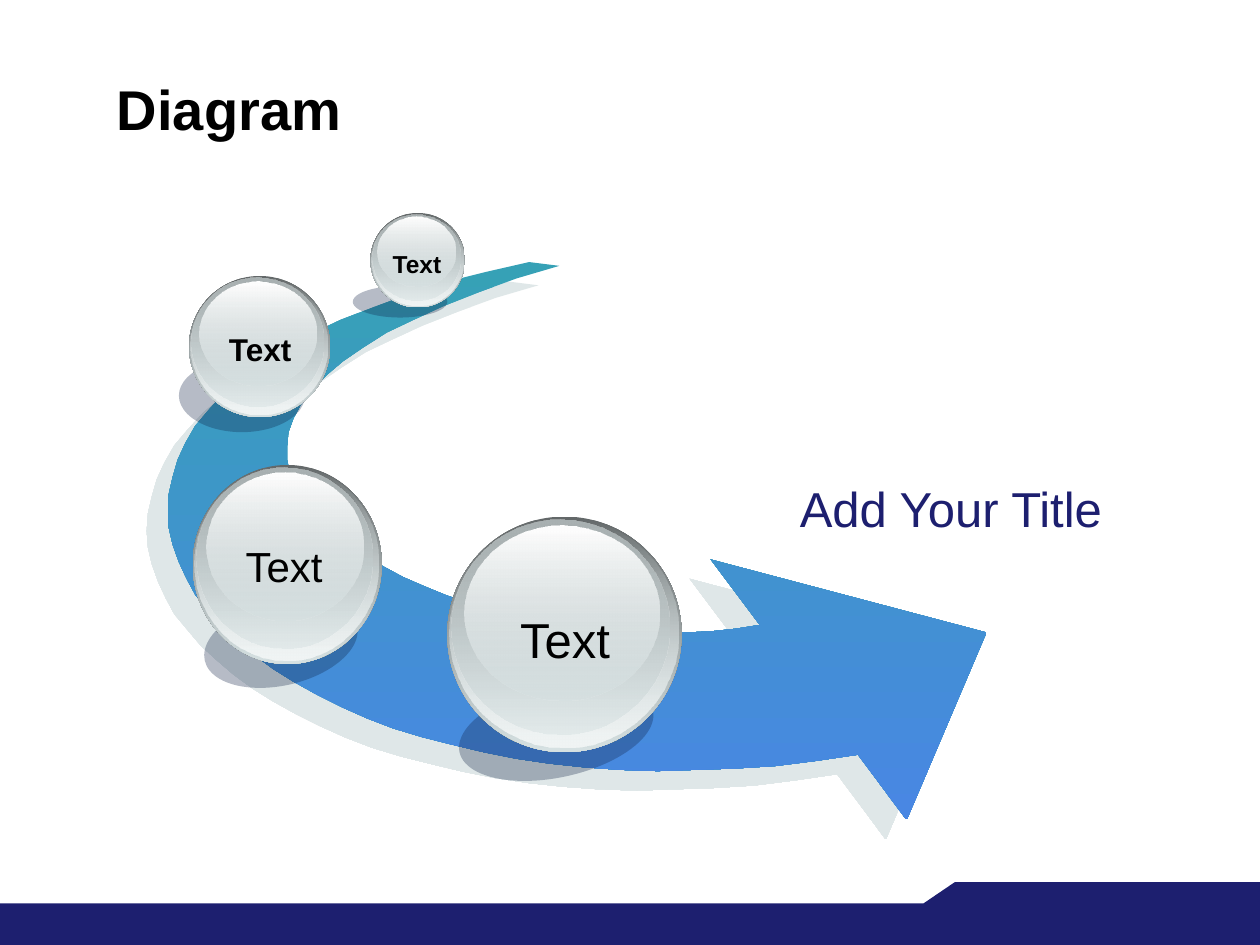
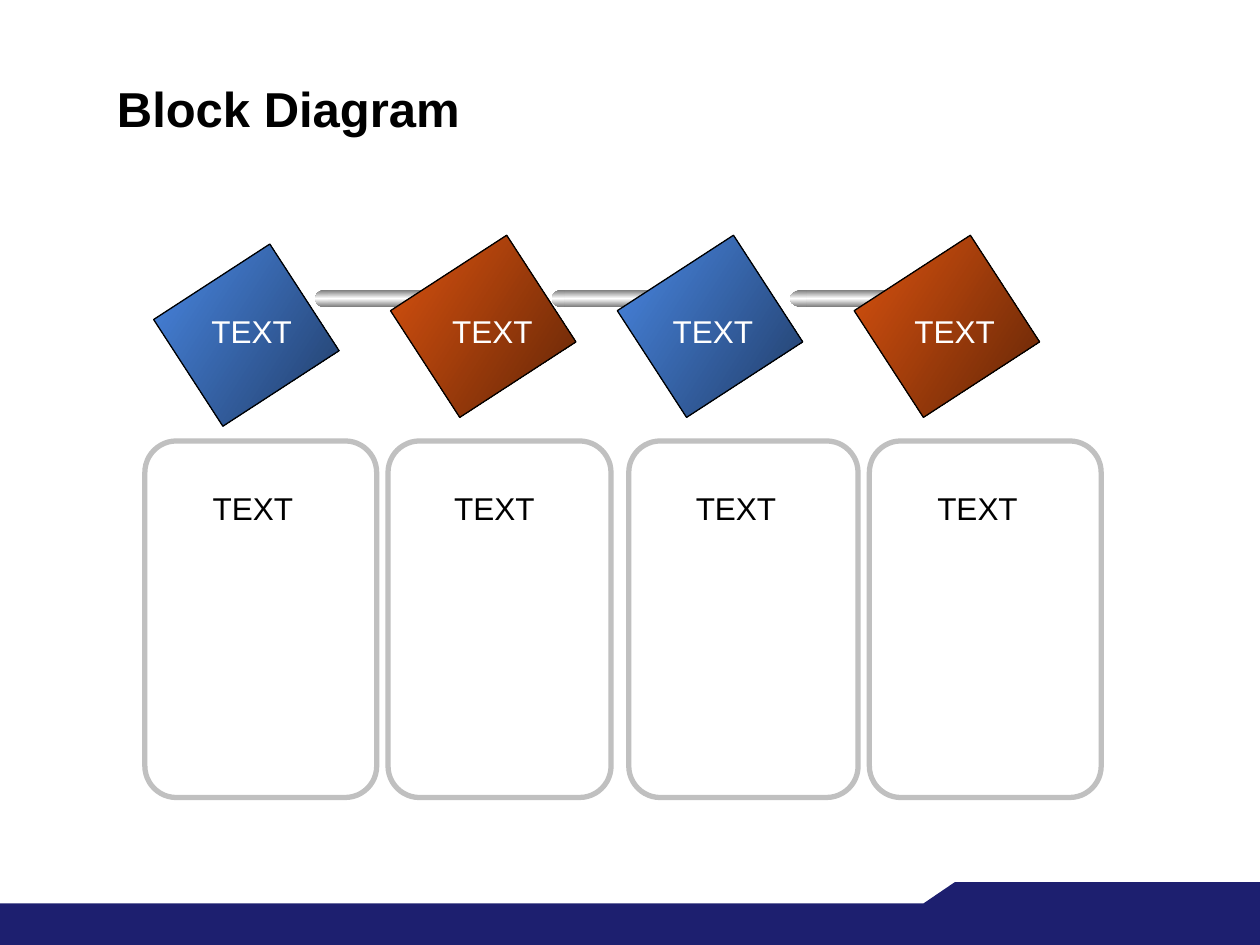
from lxml import etree
from pptx import Presentation
from pptx import util as u
from pptx.dml.color import RGBColor
from pptx.enum import shapes, text
from pptx.oxml.ns import qn

# Shared style
FONT = "Arial"
NAVY, BLACK, WHITE = "1D1F6F", "000000", "FFFFFF"
SILVER, BALL_SHADOW, ARROW_SHADOW = "C0C0C0", "0F2145", "C1D1D3"
ARROW_FILL = [(0, "36A1B6", 100), (100, "4987E3", 100)]
BLUE = [(0, "4987E3", 100), (100, "223E69", 100)]
ORANGE = [(0, "D9520F", 100), (100, "642607", 100)]
METAL = [(0, "767676", 100), (50, "FFFFFF", 100), (100, "767676", 100)]

RECT = shapes.MSO_SHAPE.RECTANGLE
ROUNDED = shapes.MSO_SHAPE.ROUNDED_RECTANGLE
OVAL = shapes.MSO_SHAPE.OVAL

# Glass ball layers: left, top, width, height as shares of the ball, then stops
BALL_LAYERS = [
    ((0, 0, 1, 1), [(0, "636869", 100), (100, "D6E1E2", 100)]),
    ((0.01, 0.005, 0.975, 0.975), [(0, "D6E1E2", 0), (100, "F1F5F5", 100)]),
    ((0.02, 0.013, 0.93, 0.91), [(0, "AAB2B3", 100), (100, "D6E1E2", 48)]),
    ((0.075, 0.04, 0.83, 0.74), [(0, "FFFFFF", 100), (100, "D6E1E2", 38)]),
]

# Curved arrow: outer edge from the tail, head, inner edge back to the tail
OUTER_EDGE = [
    (4.2, 2.08), (3.85, 2.16), (3.53, 2.24), (3.23, 2.34), (2.96, 2.44), (2.7, 2.54),
    (2.47, 2.65), (2.27, 2.76), (2.08, 2.88), (1.92, 3), (1.78, 3.12), (1.66, 3.25),
    (1.55, 3.38), (1.47, 3.52), (1.41, 3.65), (1.37, 3.79), (1.34, 3.92), (1.33, 4.06),
    (1.34, 4.19), (1.37, 4.32), (1.42, 4.46), (1.48, 4.59), (1.55, 4.72), (1.65, 4.84),
    (1.76, 4.97), (1.88, 5.08), (2.02, 5.2), (2.17, 5.31), (2.33, 5.41), (2.51, 5.51),
    (2.71, 5.61), (2.91, 5.7), (3.12, 5.78), (3.35, 5.85), (3.59, 5.91), (3.84, 5.97),
    (4.09, 6.02), (4.36, 6.06), (4.64, 6.09), (4.92, 6.11), (5.22, 6.12), (5.52, 6.11),
    (5.83, 6.1), (6.15, 6.08), (6.47, 6.04), (6.81, 5.99),
]
ARROW_HEAD = [(7.19, 6.5), (7.2, 6.5), (7.83, 5.02), (5.64, 4.44)]
INNER_EDGE = [
    (6.03, 4.96), (5.84, 4.99), (5.65, 5.01), (5.45, 5.02), (5.26, 5.02), (5.06, 5.02),
    (4.86, 5), (4.66, 4.98), (4.46, 4.96), (4.27, 4.92), (4.07, 4.88), (3.89, 4.83),
    (3.7, 4.78), (3.53, 4.72), (3.36, 4.65), (3.2, 4.58), (3.05, 4.5), (2.91, 4.42),
    (2.78, 4.34), (2.67, 4.25), (2.56, 4.16), (2.47, 4.06), (2.4, 3.96), (2.34, 3.86),
    (2.3, 3.75), (2.28, 3.65), (2.28, 3.54), (2.29, 3.43), (2.33, 3.32), (2.39, 3.21),
    (2.48, 3.1), (2.59, 2.98), (2.72, 2.87), (2.88, 2.76), (3.07, 2.64), (3.28, 2.54),
    (3.52, 2.43), (3.8, 2.32), (4.1, 2.21), (4.44, 2.11),
]


def color(value):
    return RGBColor.from_string(value)


def add_color(parent, value, opacity):
    """Append a colour element with an opacity in percent."""
    node = etree.SubElement(parent, qn("a:srgbClr"), val=value)
    if opacity < 100:
        etree.SubElement(node, qn("a:alpha"), val=str(opacity * 1000))


def paint(shape, fill=None, opacity=100, angle=90, line=None, weight=1):
    """Fill with a hex colour or a list of gradient stops, and set the outline."""
    shape.shadow.inherit = False
    properties = shape._element.spPr
    if fill is None:
        shape.fill.background()
    elif isinstance(fill, str):
        shape.fill.solid()
        shape.fill.fore_color.rgb = color(fill)
        if opacity < 100:
            tint = properties.find(qn("a:solidFill"))[0]
            etree.SubElement(tint, qn("a:alpha"), val=str(opacity * 1000))
    else:
        shape.fill.gradient()
        gradient = properties.find(qn("a:gradFill"))
        gradient.clear()
        gradient.set("rotWithShape", "0")
        stops = etree.SubElement(gradient, qn("a:gsLst"))
        for position, value, stop_opacity in fill:
            stop = etree.SubElement(stops, qn("a:gs"), pos=str(position * 1000))
            add_color(stop, value, stop_opacity)
        etree.SubElement(gradient, qn("a:lin"), ang=str(angle * 60000), scaled="0")
    if line:
        shape.line.color.rgb = color(line)
        shape.line.width = u.Pt(weight)
    else:
        shape.line.fill.background()


def add_figure(page, kind, left, top, width, height, rotation=0, **style):
    shape = page.shapes.add_shape(
        kind, u.Inches(left), u.Inches(top), u.Inches(width), u.Inches(height))
    shape.rotation = rotation
    paint(shape, **style)
    return shape


def add_outline(page, points, **style):
    start, *rest = [(u.Inches(x), u.Inches(y)) for x, y in points]
    builder = page.shapes.build_freeform(*start)
    builder.add_line_segments(rest, close=True)
    shape = builder.convert_to_shape()
    paint(shape, **style)
    return shape


def add_text(page, words, left, top, width, height, size, ink=BLACK, bold=False,
             wrap=False, centred=False):
    box = page.shapes.add_textbox(
        u.Inches(left), u.Inches(top), u.Inches(width), u.Inches(height))
    frame = box.text_frame
    frame.word_wrap = wrap
    para = frame.paragraphs[0]
    para.text = words
    if centred:
        para.alignment = text.PP_ALIGN.CENTER
    para.font.name = FONT
    para.font.size = u.Pt(size)
    para.font.bold = bold
    para.font.color.rgb = color(ink)
    return box


def add_page(deck, title, size):
    """Start a page with the footer band and its title."""
    page = deck.slides.add_slide(deck.slide_layouts[6])
    add_figure(page, RECT, 0, 7.17, 10, 0.33, fill=NAVY)
    add_outline(page, [(7.33, 7.17), (7.58, 7), (10, 7), (10, 7.25), (7.33, 7.25)],
                fill=NAVY)
    box = add_text(page, title, 0.83, 0.55, 8.58, 0.62, size, bold=True, wrap=True)
    box.text_frame.vertical_anchor = text.MSO_ANCHOR.MIDDLE
    return page


def add_curved_arrow(page):
    arrow = add_outline(page, OUTER_EDGE + ARROW_HEAD + INNER_EDGE, fill=ARROW_FILL)
    effects = arrow._element.spPr.find(qn("a:effectLst"))
    shadow = etree.SubElement(effects, qn("a:outerShdw"), dist=str(u.Pt(16.3)),
                              dir=str(137 * 60000), algn="ctr", rotWithShape="0")
    add_color(shadow, ARROW_SHADOW, 50)


def add_ball(page, ball, shadow, tilt, label, size, bold):
    """Draw a glass ball over its cast shadow, with a label on it."""
    add_figure(page, OVAL, *shadow, rotation=tilt, fill=BALL_SHADOW, opacity=30)
    left, top, width, height = ball
    for (x, y, w, h), stops in BALL_LAYERS:
        add_figure(page, OVAL, left + x * width, top + y * height,
                   w * width, h * height, fill=stops)
    add_text(page, "Text", *label, size, bold=bold, centred=True)


def add_rod(page, left, scale):
    """Draw a metal rod with a rounded left end."""
    add_figure(page, OVAL, left, 2.3, 0.17 * scale, 0.14, fill=METAL)
    add_figure(page, RECT, left + 0.1 * scale, 2.3, 0.85 * scale, 0.14, fill=METAL)


def build_diagram(deck):
    page = add_page(deck, "Diagram", 32)
    add_curved_arrow(page)
    add_text(page, "Add Your Title", 6.25, 3.75, 2.92, 0.57, 28, ink=NAVY, wrap=True)

    # Balls from the front to the far end: ball, shadow, tilt, label, size, bold
    balls = [
        ((3.55, 4.1, 1.86, 1.87), (3.63, 5.44, 1.57, 0.73), 347.9,
         (4.01, 4.79, 0.95, 0.57), 28, False),
        ((1.53, 3.69, 1.5, 1.58), (1.61, 4.77, 1.24, 0.67), 347.1,
         (1.83, 4.24, 0.85, 0.5), 24, False),
        ((1.5, 2.19, 1.12, 1.12), (1.42, 2.85, 1, 0.58), 0,
         (1.71, 2.57, 0.71, 0.4), 18, True),
        ((2.94, 1.69, 0.75, 0.75), (2.8, 2.27, 0.75, 0.25), 0,
         (3.01, 1.93, 0.6, 0.34), 14, True),
    ]
    for ball in balls:
        add_ball(page, *ball)


def build_block_diagram(deck):
    page = add_page(deck, "Block Diagram", 28)

    # Panels
    for left, width in [(6.9, 1.84), (4.99, 1.82), (3.08, 1.77), (1.15, 1.84)]:
        panel = add_figure(page, ROUNDED, left, 3.5, width, 2.83, line=SILVER, weight=3)
        panel.adjustments[0] = 0.25 / width

    # Tilted tiles, each joined to the next one by a rod
    tiles = [(1.45, 2.11, BLUE), (3.33, 2.04, ORANGE),
             (5.13, 2.04, BLUE), (7.01, 2.04, ORANGE)]
    rods = [(2.5, 1), (4.38, 1), (6.27, 1.31)]
    for index, (left, top, stops) in enumerate(tiles):
        add_figure(page, RECT, left, top, 1.01, 1.1, rotation=57, fill=stops,
                   angle=33, line=BLACK, weight=0.75)
        if index < len(rods):
            add_rod(page, *rods[index])

    # Labels on the tiles and in the panels
    for left in (1.58, 3.49, 5.24, 7.16):
        add_text(page, "TEXT", left, 2.43, 0.84, 0.4, 18, ink=WHITE)
    for column in range(4):
        add_text(page, "TEXT", 1.59 + 1.917 * column, 3.83, 0.84, 0.4, 18)


def main():
    deck = Presentation()
    deck.slide_width, deck.slide_height = u.Inches(10), u.Inches(7.5)
    build_diagram(deck)
    build_block_diagram(deck)
    deck.save("out.pptx")


if __name__ == "__main__":
    main()
